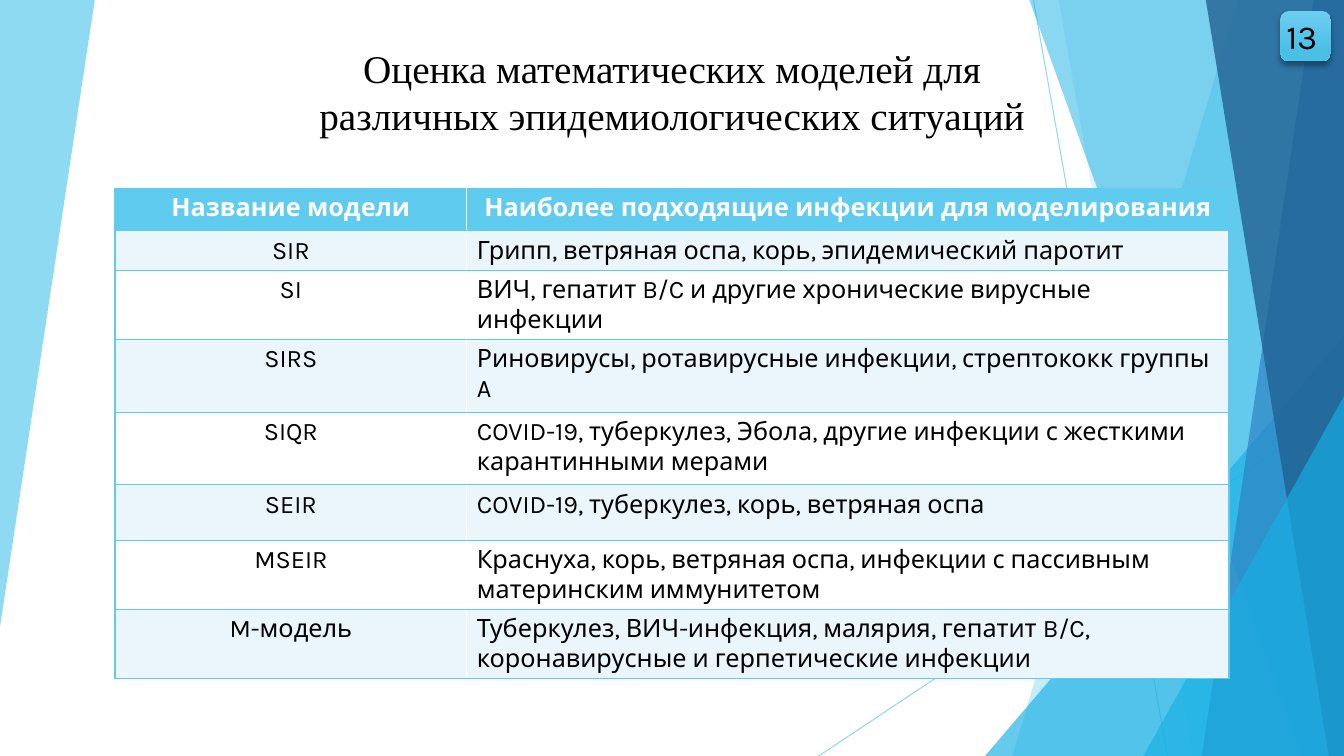
import pptx
import pptx.util
import pptx.dml.color
import pptx.enum.shapes
import pptx.enum.text
from lxml import etree
from pptx.oxml.ns import qn

# Content
TITLE = "Оценка математических моделей для различных эпидемиологических ситуаций"
PAGE = "13"
ROWS = [
    ("Название модели", "Наиболее подходящие инфекции для моделирования"),
    ("SIR", "Грипп, ветряная оспа, корь, эпидемический паротит"),
    ("SI", "ВИЧ, гепатит B/C и другие хронические вирусные инфекции"),
    ("SIRS", "Риновирусы, ротавирусные инфекции, стрептококк группы A"),
    ("SIQR", "COVID-19, туберкулез, Эбола, другие инфекции с жесткими карантинными мерами"),
    ("SEIR", "COVID-19, туберкулез, корь, ветряная оспа"),
    ("MSEIR", "Краснуха, корь, ветряная оспа, инфекции с пассивным материнским иммунитетом"),
    ("M-модель", "Туберкулез, ВИЧ-инфекция, малярия, гепатит B/C, "
                 "коронавирусные и герпетические инфекции"),
]

# Look
W, H = 13.33, 7.5
COLORS = {"sky": "5FCBEF", "cyan": "17B0E4", "blue": "2E83C3", "navy": "226292",
          "pale": "EAF6FC", "white": "FFFFFF", "black": "000000",
          "badge_top": "6CCDF0", "badge_bottom": "4BC0E6"}
TITLE_FONT = {"name": "Times New Roman", "size": pptx.util.Pt(28)}
CELL_FONT = {"name": "Karla", "size": pptx.util.Pt(18)}
PAGE_FONT = {"name": "Karla", "size": pptx.util.Pt(24)}
COL_WIDTHS = [3.49, 7.56]
ROW_HEIGHTS = [0.42, 0.35, 0.42, 0.72, 0.72, 0.55, 0.55, 0.55]

# Backdrop, back to front: kind, geometry, colour, opacity in percent
# A band runs to the right edge from (top x) to (bottom x); a wedge is a corner triangle
BACKDROP = [
    ("corner", (0.94, 6.22), "sky", 70),
    ("line", (10.25, 0, 11.58, H), "sky", 70),
    ("line", (W, 4.03, 8.12, H), "sky", 70),
    ("band", (12.28, 10.04), "sky", 36),
    ("band", (10.5, 11.83), "sky", 20),
    ("wedge", (9.77, 3.33), "cyan", 66),
    ("band", (10.21, 12.91), "cyan", 50),
    ("band", (13.03, 11.92), "blue", 70),
    ("band", (11.96, 13.18), "navy", 80),
    ("wedge", (11.34, 3.93), "cyan", 66),
]

inch = pptx.util.Inches
ALIGN = pptx.enum.text.PP_ALIGN
SHAPE = pptx.enum.shapes.MSO_SHAPE


def rgb(name):
    return pptx.dml.color.RGBColor.from_string(COLORS[name])


def box(*lengths):
    return [inch(v) for v in lengths]


def set_alpha(sp, percent):
    for clr in sp._element.spPr.iter(qn("a:srgbClr")):
        etree.SubElement(clr, qn("a:alpha"), val=str(percent * 1000))


def write(tf, text, font, color="black", align=ALIGN.LEFT, bold=False):
    p = tf.paragraphs[0]
    p.alignment = align
    r = p.add_run()
    r.text = text
    for key, value in {**font, "bold": bold}.items():
        setattr(r.font, key, value)
    r.font.color.rgb = rgb(color)


def add_outline(s, points):
    start, *rest = [box(*pt) for pt in points]
    builder = s.shapes.build_freeform(*start)
    builder.add_line_segments(rest, close=True)
    return builder.convert_to_shape()


def add_backdrop(s, kind, geo, color, opacity):
    if kind == "line":
        sp = s.shapes.add_connector(pptx.enum.shapes.MSO_CONNECTOR.STRAIGHT, *box(*geo))
        sp.line.width = pptx.util.Pt(0.75)
        sp.line.color.rgb = rgb(color)
        etree.SubElement(sp._element.spPr, qn("a:effectLst"))
    else:
        if kind == "wedge":
            x, y = geo
            sp = s.shapes.add_shape(SHAPE.ISOSCELES_TRIANGLE, *box(x, y, W - x, H - y))
            sp.adjustments[0] = 1
        elif kind == "corner":
            sp = add_outline(s, [(0, 0), (geo[0], 0), (0, geo[1])])
        else:
            sp = add_outline(s, [(geo[0], 0), (W, 0), (W, H), (geo[1], H)])
        sp.fill.solid()
        sp.fill.fore_color.rgb = rgb(color)
        sp.line.fill.background()
        sp.shadow.inherit = False
    set_alpha(sp, opacity)


def add_borders(cell, sides):
    tcPr = cell._tc.get_or_add_tcPr()
    for side in sides:
        ln = etree.SubElement(tcPr, qn("a:ln" + side), w="12700")
        fill = etree.SubElement(ln, qn("a:solidFill"))
        etree.SubElement(fill, qn("a:srgbClr"), val=COLORS["sky"])


def add_models_table(s):
    frame = s.shapes.add_table(len(ROWS), len(COL_WIDTHS),
                               *box(1.14, 1.87, sum(COL_WIDTHS), sum(ROW_HEIGHTS)))
    table = frame.table
    for col, width in zip(table.columns, COL_WIDTHS):
        col.width = inch(width)
    for i, (row, height) in enumerate(zip(table.rows, ROW_HEIGHTS)):
        row.height = inch(height)
        header = i == 0
        fill = "sky" if header else ("white", "pale")[i % 2]
        for j, cell in enumerate(row.cells):
            add_borders(cell, ("LTB", "RTB")[j])
            cell.fill.solid()
            cell.fill.fore_color.rgb = rgb(fill)
            write(cell.text_frame, ROWS[i][j], CELL_FONT, "white" if header else "black",
                  ALIGN.CENTER if header or j == 0 else ALIGN.LEFT, header)


def add_page_badge(s):
    sp = s.shapes.add_shape(SHAPE.ROUNDED_RECTANGLE, *box(12.7, 0.11, 0.5, 0.5))
    sp.line.fill.background()
    sp.fill.gradient()
    sp.fill.gradient_angle = 270
    stops = [(0, "badge_top"), (0.78, "badge_bottom")]
    for stop, (position, color) in zip(sp.fill.gradient_stops, stops):
        stop.position = position
        stop.color.rgb = rgb(color)
    # Soft shadow below the badge
    sp.shadow.inherit = False
    shadow = etree.SubElement(sp._element.spPr.find(qn("a:effectLst")), qn("a:outerShdw"),
                              blurRad="50800", dist="38100", dir="5400000", rotWithShape="0")
    clr = etree.SubElement(shadow, qn("a:srgbClr"), val=COLORS["black"])
    etree.SubElement(clr, qn("a:alpha"), val="35000")
    # Page number
    tf = s.shapes.add_textbox(*box(12.66, 0.11, 0.57, 0.5)).text_frame
    tf.word_wrap = True
    write(tf, PAGE, PAGE_FONT)


def main():
    prs = pptx.Presentation()
    prs.slide_width, prs.slide_height = box(W, H)
    s = prs.slides.add_slide(prs.slide_layouts[5])
    for part in BACKDROP:
        add_backdrop(s, *part)

    # Title, brought in front of the backdrop
    title = s.shapes.title
    title.left, title.top, title.width, title.height = box(3, 0.39, 7.33, 1.04)
    tf = title.text_frame
    tf.word_wrap = True
    tf.vertical_anchor = pptx.enum.text.MSO_ANCHOR.TOP
    write(tf, TITLE, TITLE_FONT, align=ALIGN.CENTER)
    s.shapes._spTree.append(title._element)

    add_models_table(s)
    add_page_badge(s)
    prs.save("out.pptx")


if __name__ == "__main__":
    main()
